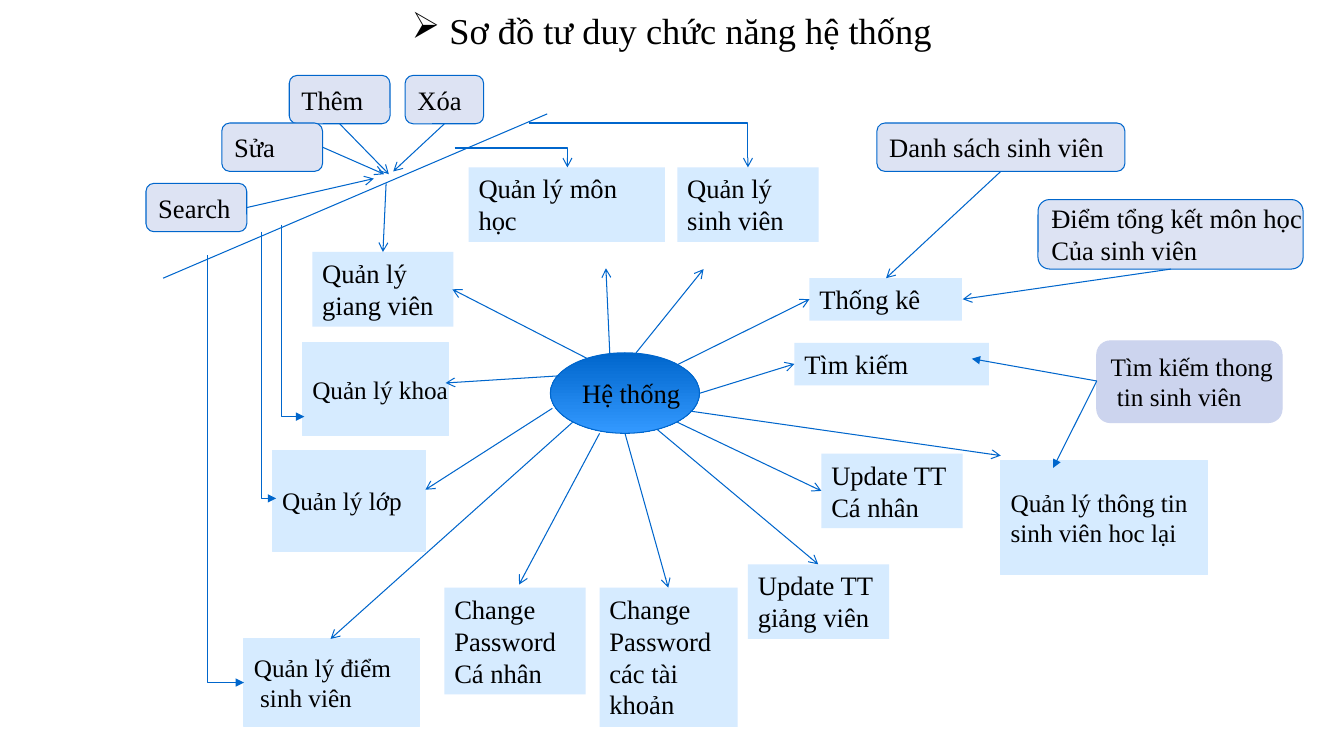
from dataclasses import dataclass

from lxml.etree import SubElement
from pptx import Presentation
from pptx.dml.color import RGBColor as RGB
from pptx.enum.shapes import MSO_CONNECTOR as LINK, MSO_SHAPE as SHAPE
from pptx.enum.text import MSO_ANCHOR as ANCHOR, MSO_AUTO_SIZE as FIT, PP_ALIGN as ALIGN
from pptx.oxml.ns import qn
from pptx.util import Cm, Pt


@dataclass(frozen=True)
class Theme:
    font: str = "Times New Roman"
    ink: RGB = RGB(0, 0, 0)
    blue: RGB = RGB(0x00, 0x66, 0xCC)
    bright: RGB = RGB(0x33, 0x99, 0xFF)
    sky: RGB = RGB(0xD6, 0xEB, 0xFF)
    lilac: RGB = RGB(0xDD, 0xE3, 0xF3)
    violet: RGB = RGB(0xCC, 0xD4, 0xEE)
    heading: Pt = Pt(26)
    label: Pt = Pt(19)
    small: Pt = Pt(18)
    stroke: Pt = Pt(0.75)


theme = Theme()
deck = Presentation()
deck.slide_width, deck.slide_height = Cm(33.87), Cm(19.05)
slide = deck.slides.add_slide(deck.slide_layouts[5])


def add_node(kind, place, lines, size, fill, outline, wrap=False):
    node = slide.shapes.add_shape(kind, *map(Cm, place))
    node.shadow.inherit = False
    if fill:
        node.fill.solid()
        node.fill.fore_color.rgb = fill
    if outline:
        node.line.color.rgb = outline
        node.line.width = theme.stroke
    else:
        node.line.fill.background()
    frame = node.text_frame
    frame.word_wrap = wrap
    frame.auto_size = FIT.SHAPE_TO_FIT_TEXT if wrap else FIT.NONE
    frame.vertical_anchor = ANCHOR.TOP if wrap else ANCHOR.MIDDLE
    for i, line in enumerate(lines):
        paragraph = frame.add_paragraph() if i else frame.paragraphs[0]
        paragraph.alignment = ALIGN.LEFT
        run = paragraph.add_run()
        run.text = line
        run.font.name, run.font.size = theme.font, size
        run.font.color.rgb = theme.ink
    return node


def add_link(kind, ends, head=None):
    link = slide.shapes.add_connector(kind, *map(Cm, ends))
    link.line.color.rgb = theme.blue
    link.line.width = theme.stroke
    properties = link._element.spPr
    if head:
        SubElement(properties.find(qn("a:ln")), qn("a:tailEnd"), type=head)
    SubElement(properties, qn("a:effectLst"))
    if kind == LINK.ELBOW:
        properties.find(qn("a:prstGeom")).set("prst", "bentConnector2")
    return properties


title = slide.shapes.title
title.left, title.top, title.width, title.height = map(Cm, (0, 0.08, 33.87, 1.37))
title.text_frame.auto_size = FIT.NONE
title.text_frame.vertical_anchor = ANCHOR.TOP
heading = title.text_frame.paragraphs[0]
heading.alignment = ALIGN.CENTER
bullet = heading._p.get_or_add_pPr()
bullet.set("marL", str(Cm(0.95)))
bullet.set("indent", str(-Cm(0.95)))
SubElement(bullet, qn("a:buChar"), char="➢")
heading_run = heading.add_run()
heading_run.text = "Sơ đồ tư duy chức năng hệ thống"
heading_run.font.name, heading_run.font.size = theme.font, theme.heading
heading_run.font.color.rgb = theme.ink

system = add_node(SHAPE.OVAL, (13.87, 8.89, 3.76, 2.03), ["Hệ thống"],
                  theme.label, None, theme.blue)
system.fill.gradient()
system.fill.gradient_angle = 270
for stop, colour in zip(system.fill.gradient_stops, (theme.blue, theme.bright)):
    stop.color.rgb = colour

functions = [
    ("Quản lý giang viên", 7.87, 6.35, 3.56, 1.88),
    ("Quản lý môn học", 11.81, 4.22, 4.95, 1.88),
    ("Quản lý sinh viên", 17.07, 4.22, 3.56, 1.88),
    ("Thống kê", 20.4, 7.01, 3.84, 1.07),
    ("Tìm kiếm", 20.02, 8.64, 4.9, 1.07),
    ("Update TT Cá nhân", 20.7, 11.43, 3.56, 1.88),
    ("Update TT giảng viên", 18.85, 14.22, 3.56, 1.88),
    ("Change Password các tài khoản", 15.11, 14.81, 3.48, 3.51),
    ("Change Password Cá nhân", 11.2, 14.81, 3.56, 2.69),
]
for name, *place in functions:
    add_node(SHAPE.RECTANGLE, place, [name], theme.label, theme.sky, None, wrap=True)

records = [
    (["Quản lý khoa"], 7.62, 8.64, 3.68, 2.34),
    (["Quản lý lớp"], 6.86, 11.35, 3.86, 2.54),
    (["Quản lý điểm", " sinh viên"], 6.15, 16.1, 4.42, 2.21),
    (["Quản lý thông tin", "sinh viên hoc lại"], 25.22, 11.61, 5.21, 2.87),
]
for lines, *place in records:
    add_node(SHAPE.RECTANGLE, place, lines, theme.small, theme.sky, theme.sky)

actions = [
    (["Danh sách sinh viên"], 22.1, 3.1, 6.25, 1.22),
    (["Điểm tổng kết môn học", "Của sinh viên"], 26.16, 5.03, 6.68, 1.75),
    (["Thêm"], 7.29, 1.9, 2.54, 1.22),
    (["Xóa"], 10.21, 1.9, 1.98, 1.22),
    (["Sửa"], 5.59, 3.1, 2.54, 1.22),
    (["Search"], 3.68, 4.62, 2.54, 1.22),
]
for lines, *place in actions:
    add_node(SHAPE.ROUNDED_RECTANGLE, place, lines, theme.label, theme.lilac, theme.blue)
add_node(SHAPE.ROUNDED_RECTANGLE, (27.64, 8.59, 4.67, 2.06),
         ["Tìm kiếm thong", " tin sinh viên"], theme.small, theme.violet, theme.violet)

system_links = [
    (15.37, 8.97, 15.27, 6.76),
    (16.03, 8.89, 17.73, 6.78),
    (17.07, 9.19, 20.4, 7.54),
    (17.63, 9.91, 20.02, 9.17),
    (17.4, 10.36, 25.22, 11.48),
    (17.07, 10.64, 20.7, 12.37),
    (16.56, 10.82, 20.62, 14.22),
    (15.75, 10.92, 16.84, 14.81),
    (15.11, 10.92, 13.08, 14.73),
    (14.43, 10.64, 8.33, 16.1),
    (13.92, 10.29, 10.72, 12.34),
    (14.1, 9.47, 11.23, 9.65),
    (14.81, 9.04, 11.4, 7.29),
]
action_links = [
    (8.13, 3.71, 9.68, 4.39),
    (8.56, 3.12, 9.8, 4.39),
    (11.2, 3.12, 9.91, 4.32),
    (6.22, 5.23, 9.42, 4.5),
    (9.73, 4.62, 9.65, 6.35),
    (25.22, 4.32, 22.33, 7.01),
    (29.51, 6.78, 24.26, 7.54),
]
for ends in system_links + action_links:
    add_link(LINK.STRAIGHT, ends, "arrow")
for target in [(24.49, 9.04), (26.54, 11.79)]:
    add_link(LINK.STRAIGHT, (27.64, 9.6, *target), "triangle")

add_link(LINK.STRAIGHT, (13.79, 2.87, 4.11, 7.01))
for ends in [(13.34, 3.1, 18.85, 4.22), (11.46, 3.73, 14.3, 4.22)]:
    add_link(LINK.ELBOW, ends, "arrow")

drops = [
    (7.09, 5.66, 7.67, 10.5),
    (6.58, 5.84, 6.96, 12.56),
    (5.23, 6.43, 6.15, 17.2),
]
for x1, y1, x2, y2 in drops:
    middle_x, middle_y = (x1 + x2) / 2, (y1 + y2) / 2
    half_run, half_drop = (x2 - x1) / 2, (y2 - y1) / 2
    turned = (middle_x + half_drop, middle_y - half_run,
              middle_x - half_drop, middle_y + half_run)
    drop = add_link(LINK.ELBOW, turned, "triangle")
    drop.find(qn("a:xfrm")).set("rot", str(270 * 60000))

deck.save("out.pptx")
